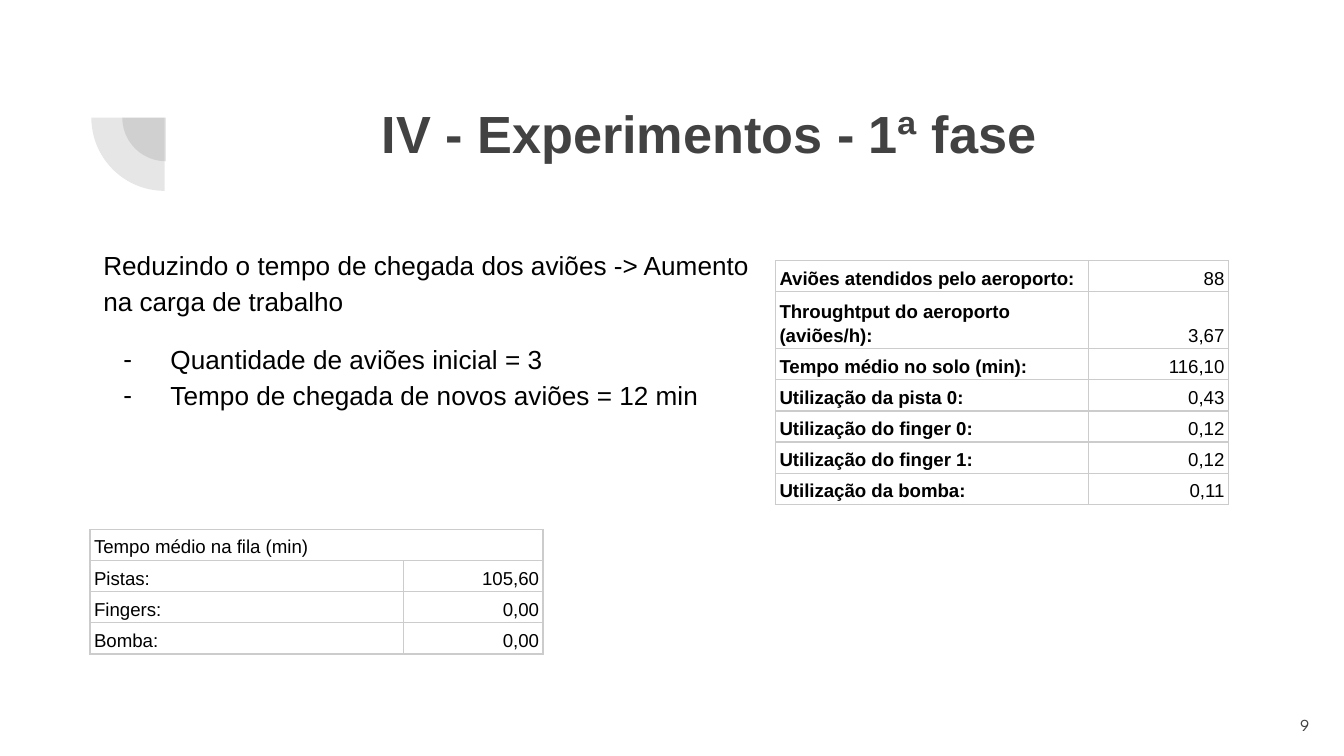
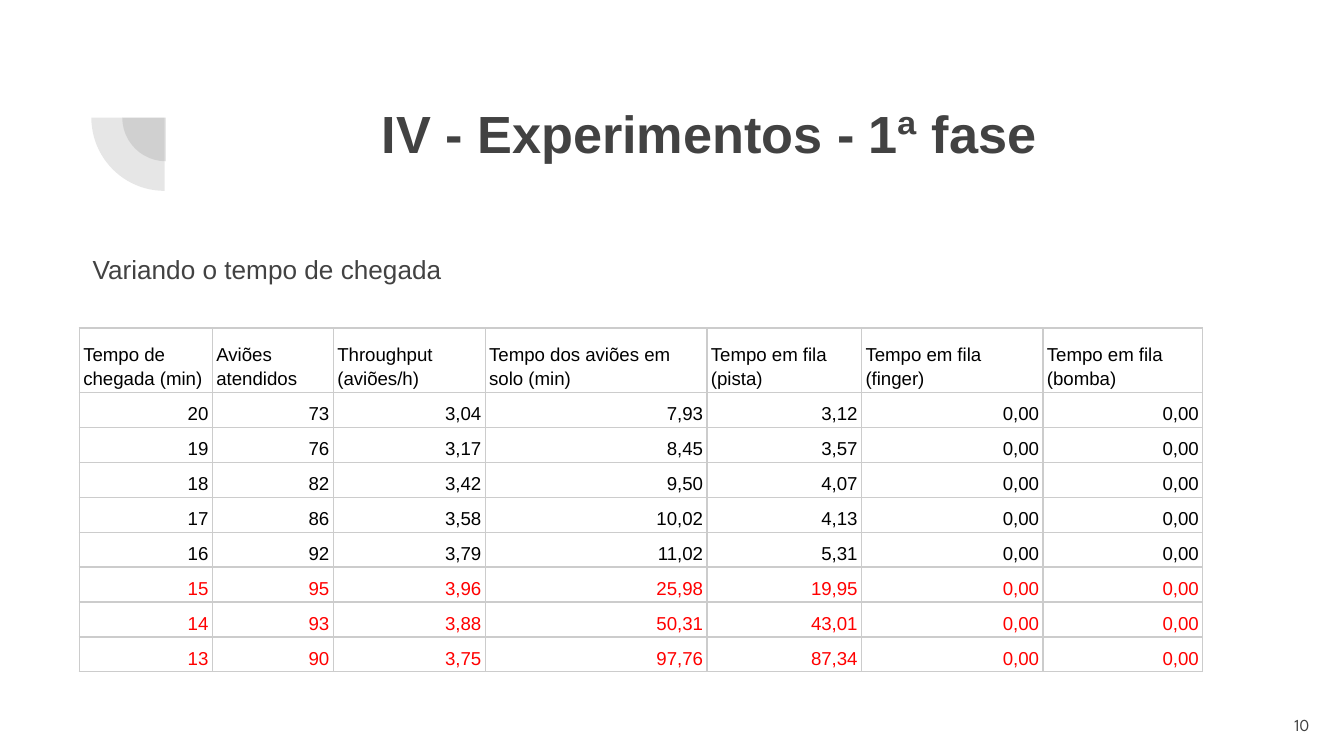
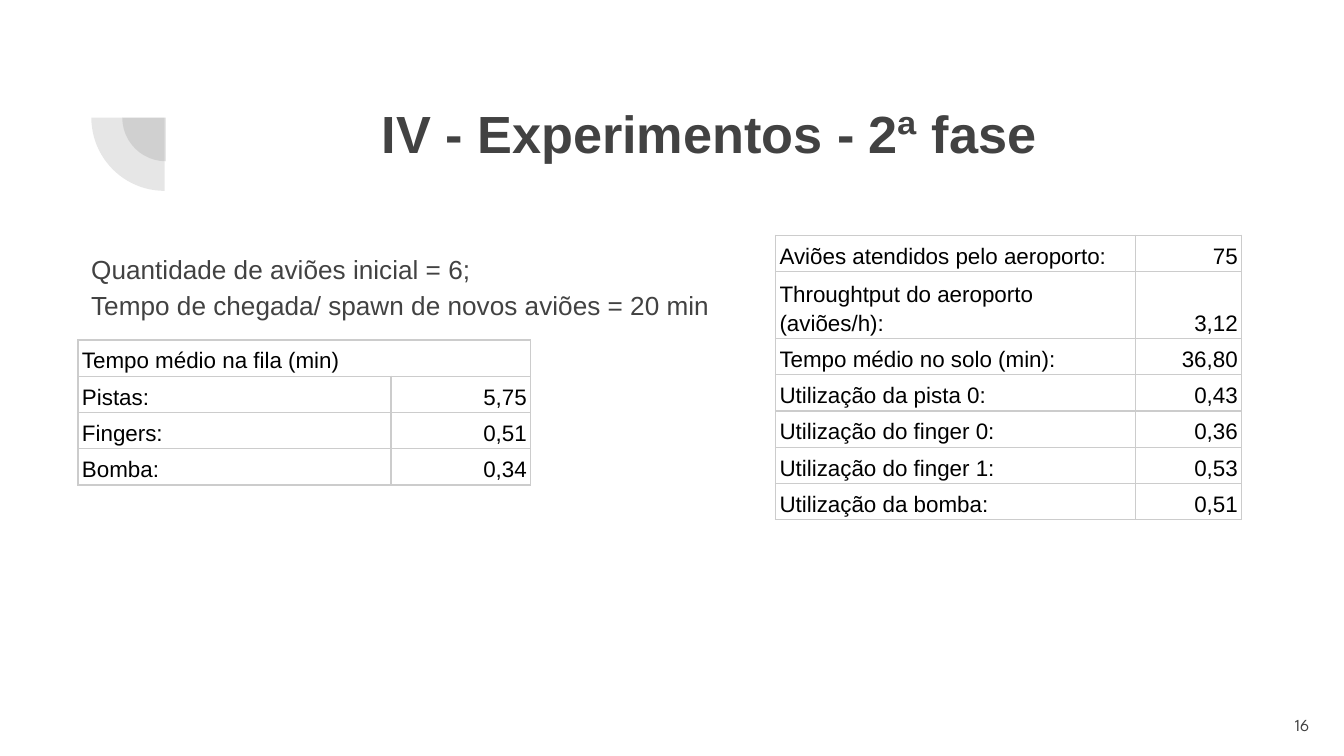
from lxml.etree import SubElement
from pptx import Presentation
from pptx.dml.color import RGBColor
from pptx.enum.shapes import MSO_SHAPE
from pptx.enum.text import MSO_ANCHOR, PP_ALIGN
from pptx.oxml import parse_xml
from pptx.oxml.ns import nsdecls, qn
from pptx.util import Inches, Pt

GREY, BLACK, RED, BORDER = "424242", "000000", "FF0000", "CCCCCC"
FONT, NUMBER_FONT = "Arial", "League Spartan"
LINE_SPACING = 1.15
SLIDE_WIDTH = 10
SLIDE_HEIGHT = SLIDE_WIDTH * 9 / 16
RINGS = [(0.91, 0.55, 0.65), (0.68, 0.33, 1.09)]  # left, top, diameter
TABLE_FRAME = 3.28

METRICS = [
    "Aviões atendidos pelo aeroporto:",
    "Throughtput do aeroporto (aviões/h):",
    "Tempo médio no solo (min):",
    "Utilização da pista 0:",
    "Utilização do finger 0:",
    "Utilização do finger 1:",
    "Utilização da bomba:",
]
METRIC_HEIGHTS = [0.22, 0.36] + [0.22] * 5
QUEUE_TITLE = "Tempo médio na fila (min)"
QUEUES = ["Pistas:", "Fingers:", "Bomba:"]
QUEUE_WIDTHS = [2.33, 1.04]

ARRIVAL_HEADER = [
    "Tempo de chegada (min)", "Aviões atendidos", "Throughput (aviões/h)",
    "Tempo dos aviões em solo (min)", "Tempo em fila (pista)",
    "Tempo em fila (finger)", "Tempo em fila (bomba)",
]
ARRIVAL_WIDTHS = [0.99, 0.9, 1.13, 1.65, 1.15, 1.35, 1.19]
ARRIVALS = [
    ("20", "73", "3,04", "7,93", "3,12", "0,00", "0,00"),
    ("19", "76", "3,17", "8,45", "3,57", "0,00", "0,00"),
    ("18", "82", "3,42", "9,50", "4,07", "0,00", "0,00"),
    ("17", "86", "3,58", "10,02", "4,13", "0,00", "0,00"),
    ("16", "92", "3,79", "11,02", "5,31", "0,00", "0,00"),
    ("15", "95", "3,96", "25,98", "19,95", "0,00", "0,00"),
    ("14", "93", "3,88", "50,31", "43,01", "0,00", "0,00"),
    ("13", "90", "3,75", "97,76", "87,34", "0,00", "0,00"),
]
SATURATED_ROWS = (6, 7, 8)

INTRO = "Reduzindo o tempo de chegada dos aviões -> Aumento na carga de trabalho"
INTRO_ITEMS = ["Quantidade de aviões inicial = 3",
               "Tempo de chegada de novos aviões = 12 min"]
SECOND_PHASE = ["Quantidade de aviões inicial = 6;",
                "Tempo de chegada/ spawn de novos aviões = 20 min"]


def rgb(colour):
    return RGBColor.from_string(colour)


def style(paragraph, size, colour=BLACK, bold=False, font=FONT,
          align=PP_ALIGN.LEFT, spacing=LINE_SPACING):
    paragraph.alignment = align
    paragraph.line_spacing = spacing
    for run in paragraph.runs:
        run.font.name = font
        run.font.size = Pt(size)
        run.font.bold = bold
        run.font.color.rgb = rgb(colour)


def add_text(slide, box, lines, size, colour=GREY, anchor=MSO_ANCHOR.TOP, **look):
    frame = slide.shapes.add_textbox(*map(Inches, box)).text_frame
    frame.word_wrap = True
    frame.vertical_anchor = anchor
    frame.margin_left = frame.margin_right = Inches(0.1)
    frame.margin_top = frame.margin_bottom = Inches(0.1)
    frame.text = "\n".join(lines)
    for paragraph in frame.paragraphs:
        style(paragraph, size, colour, **look)
    return frame.paragraphs


def add_dash(paragraph):
    properties = paragraph._p.get_or_add_pPr()
    properties.set("marL", str(Inches(0.5)))
    properties.set("indent", str(Inches(-0.35)))
    SubElement(SubElement(properties, qn("a:buClr")), qn("a:srgbClr"), val=BLACK)
    SubElement(properties, qn("a:buSzPts"), val="1400")
    SubElement(properties, qn("a:buFont"), typeface=FONT)
    SubElement(properties, qn("a:buChar"), char="-")


def add_rings(slide):
    """Two translucent quarter discs that share one centre."""
    for left, top, diameter in RINGS:
        ring = slide.shapes.add_shape(
            MSO_SHAPE.PIE, *map(Inches, (left, top, diameter, diameter)))
        ring.adjustments[0], ring.adjustments[1] = 108, 162
        ring.rotation = 270
        ring.shadow.inherit = False
        ring.line.fill.background()
        ring.fill.solid()
        ring.fill.fore_color.rgb = rgb(GREY)
        tint = ring.fill._xPr.find(".//" + qn("a:srgbClr"))
        SubElement(tint, qn("a:alpha"), val="13000")


def add_borders(cell):
    properties = cell._tc.get_or_add_tcPr()
    for position, side in enumerate("LRTB"):
        properties.insert(position, parse_xml(
            f'<a:ln{side} {nsdecls("a")} w="{Pt(0.75)}"><a:solidFill>'
            f'<a:srgbClr val="{BORDER}"/></a:solidFill></a:ln{side}>'))


def add_grid(slide, left, top, widths, heights, rows, size=10,
             bold_labels=False, red_rows=()):
    frame = slide.shapes.add_table(
        len(rows), len(widths), *map(Inches, (left, top, TABLE_FRAME, TABLE_FRAME)))
    table = frame.table
    table.first_row = table.horz_banding = False
    for column, width in zip(table.columns, widths):
        column.width = Inches(width)
    for r, (row, height) in enumerate(zip(rows, heights)):
        table.rows[r].height = Inches(height)
        for c in range(len(widths)):
            cell = table.cell(r, c)
            cell.fill.background()
            add_borders(cell)
            cell.vertical_anchor = MSO_ANCHOR.BOTTOM
            cell.margin_left = cell.margin_right = Inches(0.03)
            cell.margin_top = cell.margin_bottom = Inches(0.02)
            if c < len(row):
                cell.text = row[c]
                is_value = row[c][0].isdigit()
                style(cell.text_frame.paragraphs[0], size,
                      RED if r in red_rows else BLACK,
                      bold=bold_labels and not is_value,
                      align=PP_ALIGN.RIGHT if is_value else PP_ALIGN.LEFT)
        if len(row) < len(widths):
            table.cell(r, len(row) - 1).merge(table.cell(r, len(widths) - 1))
    # Resizing rows and columns resizes the frame, so it is set last.
    frame.width = frame.height = Inches(TABLE_FRAME)


def add_metrics(slide, top, widths, values, **look):
    add_grid(slide, 5.77, top, widths, METRIC_HEIGHTS,
             list(zip(METRICS, values)), **look)


def add_queues(slide, left, top, values, **look):
    rows = [(QUEUE_TITLE,), *zip(QUEUES, values)]
    add_grid(slide, left, top, QUEUE_WIDTHS, [0.22] * len(rows), rows, **look)


def start_slide(deck, phase, number):
    slide = deck.slides.add_slide(deck.slide_layouts[6])
    add_rings(slide)
    add_text(slide, (1.43, 0.65, 7.69, 1.09), [f"IV - Experimentos - {phase} fase"],
             28, bold=True, align=PP_ALIGN.CENTER, spacing=1.0)
    add_text(slide, (9.24, 5.18, 0.6, 0.43), [str(number)], 9, font=NUMBER_FONT,
             anchor=MSO_ANCHOR.MIDDLE, align=PP_ALIGN.RIGHT, spacing=1.0)
    return slide


def main():
    deck = Presentation()
    deck.slide_width, deck.slide_height = Inches(SLIDE_WIDTH), Inches(SLIDE_HEIGHT)

    heavier_load = start_slide(deck, "1ª", 9)
    _, *items = add_text(heavier_load, (0.67, 1.72, 5.11, 3.28),
                         [INTRO, *INTRO_ITEMS], 14, BLACK)
    items[0].space_before = Pt(12)
    for item in items:
        add_dash(item)
    add_metrics(heavier_load, 1.94, [2.33, 1.04],
                ["88", "3,67", "116,10", "0,43", "0,12", "0,12", "0,11"],
                bold_labels=True)
    add_queues(heavier_load, 0.67, 3.94, ["105,60", "0,00", "0,00"])

    arrival_times = start_slide(deck, "1ª", 10)
    add_text(arrival_times, (0.59, 1.75, 3.78, 3.25),
             ["Variando o tempo de chegada"], 14)
    add_grid(arrival_times, 0.59, 2.44, ARRIVAL_WIDTHS,
             [0.48] + [0.26] * len(ARRIVALS), [ARRIVAL_HEADER, *ARRIVALS],
             red_rows=SATURATED_ROWS)

    second_phase = start_slide(deck, "2ª", 16)
    add_text(second_phase, (0.58, 1.75, 5.19, 3.28), SECOND_PHASE, 14)
    add_metrics(second_phase, 1.75, [2.68, 0.79],
                ["75", "3,12", "36,80", "0,43", "0,36", "0,53", "0,51"], size=12)
    add_queues(second_phase, 0.58, 2.53, ["5,75", "0,51", "0,34"], size=12)

    deck.save("out.pptx")


if __name__ == "__main__":
    main()
